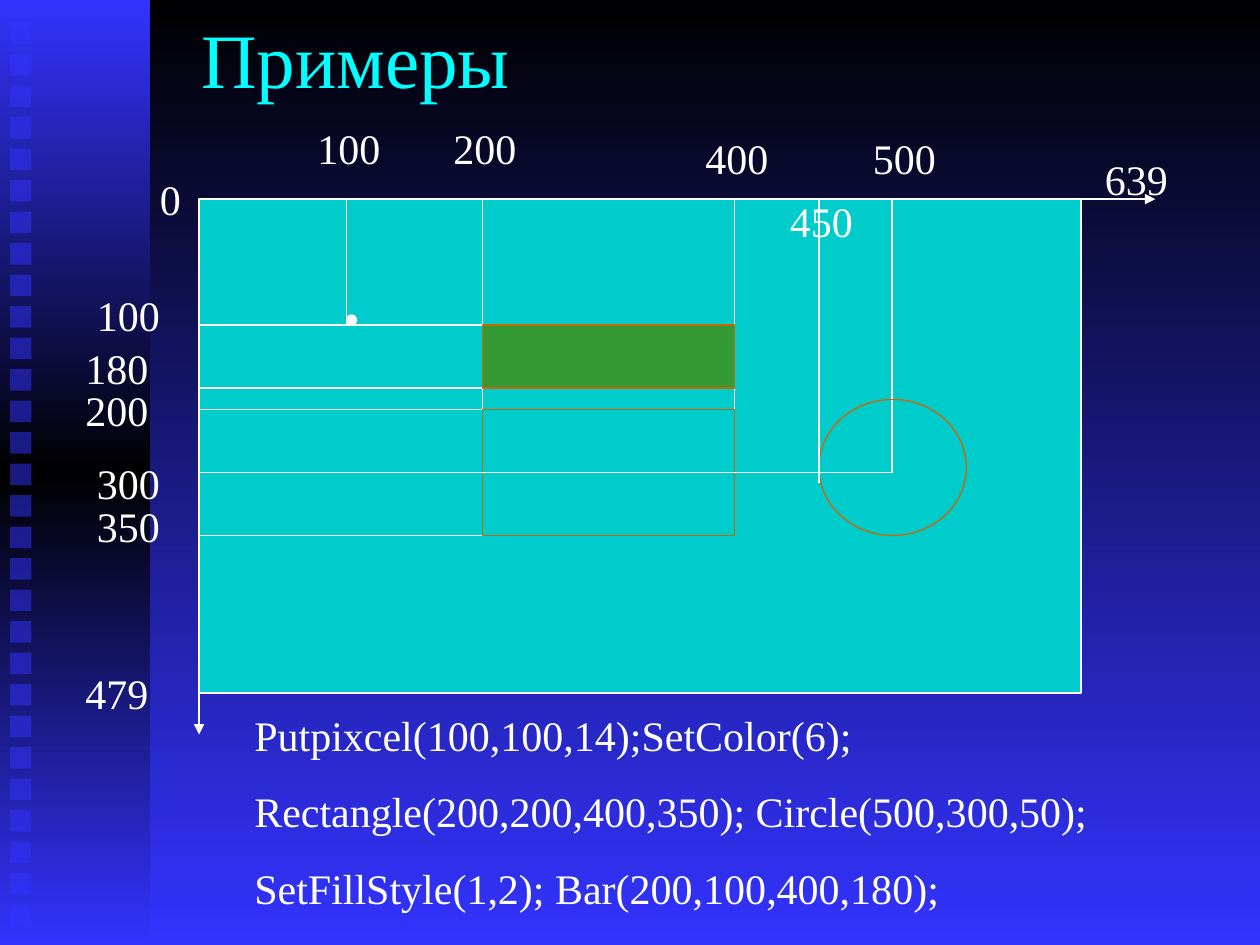
from copy import deepcopy

from lxml import etree
from pptx import Presentation
from pptx.dml.color import RGBColor
from pptx.enum.shapes import MSO_CONNECTOR, MSO_SHAPE
from pptx.enum.text import MSO_ANCHOR, MSO_AUTO_SIZE
from pptx.oxml.ns import qn
from pptx.util import Inches, Pt

RECT, OVAL = MSO_SHAPE.RECTANGLE, MSO_SHAPE.OVAL
STRAIGHT = MSO_CONNECTOR.STRAIGHT
TOP, MIDDLE = MSO_ANCHOR.TOP, MSO_ANCHOR.MIDDLE
GROW, FIXED = MSO_AUTO_SIZE.SHAPE_TO_FIT_TEXT, MSO_AUTO_SIZE.NONE

BLUE, BLACK, WHITE = "3333FF", "000000", "FFFFFF"
CYAN, SCREEN, ORANGE, GREEN = "00FFFF", "00CCCC", "CC6600", "339933"


def rgb(value):
    return RGBColor.from_string(value)


class Slide:
    font = "Times New Roman"
    line_width = Pt(0.75)

    def __init__(self, prs):
        self.s = prs.slides.add_slide(prs.slide_layouts[6])

    def gradient(self, fill, element, colors):
        """Spread the colours evenly from top to bottom."""
        fill.gradient()
        fill.gradient_angle = 270
        first = next(element.iter(qn("a:gs")))
        for _ in colors[2:]:
            first.addnext(deepcopy(first))
        for i, (stop, color) in enumerate(zip(fill.gradient_stops, colors)):
            stop.color.rgb = rgb(color)
            stop.position = i / (len(colors) - 1)

    def background(self, colors):
        self.gradient(self.s.background.fill, self.s._element, colors)

    def shape(self, kind, x, y, w, h, fill=None, line=None, alpha=None):
        sp = self.s.shapes.add_shape(kind, Inches(x), Inches(y), Inches(w), Inches(h))
        sp.shadow.inherit = False
        if isinstance(fill, list):
            self.gradient(sp.fill, sp._element, fill)
        elif fill:
            sp.fill.solid()
            sp.fill.fore_color.rgb = rgb(fill)
        else:
            sp.fill.background()
        if alpha:
            color = next(sp._element.spPr.iter(qn("a:srgbClr")))
            etree.SubElement(color, qn("a:alpha"), val=str(alpha * 1000))
        if line:
            sp.line.color.rgb = rgb(line)
            sp.line.width = self.line_width
        else:
            sp.line.fill.background()

    def line(self, x1, y1, x2, y2, arrow=False):
        sp = self.s.shapes.add_connector(
            STRAIGHT, Inches(x1), Inches(y1), Inches(x2), Inches(y2))
        sp.line.color.rgb = rgb(WHITE)
        sp.line.width = self.line_width
        if arrow:
            etree.SubElement(sp.line._get_or_add_ln(), qn("a:tailEnd"), type="triangle")
        etree.SubElement(sp._element.spPr, qn("a:effectLst"))

    def text(self, x, y, w, h, *lines, size=24, color=WHITE, anchor=TOP, fit=GROW):
        sp = self.s.shapes.add_textbox(Inches(x), Inches(y), Inches(w), Inches(h))
        tf = sp.text_frame
        frame_format = {"word_wrap": True, "auto_size": fit, "vertical_anchor": anchor}
        for name, value in frame_format.items():
            setattr(tf, name, value)
        for i, line in enumerate(lines):
            p = tf.add_paragraph() if i else tf.paragraphs[0]
            if i:
                p.space_before = Pt(15)
            r = p.add_run()
            r.text = line
            for name, value in {"name": self.font, "size": Pt(size)}.items():
                setattr(r.font, name, value)
            r.font.color.rgb = rgb(color)


def main():
    prs = Presentation()
    prs.slide_width, prs.slide_height = Inches(10), Inches(7.5)
    slide = Slide(prs)

    # Background, side band and its column of squares
    slide.background([BLACK, BLUE])
    slide.shape(RECT, 0, 0, 1.19, 7.5, [BLUE, BLACK, BLUE])
    for i in range(29):
        slide.shape(RECT, 0.08, 0.18 + 0.25 * i, 0.17, 0.17, BLUE, alpha=50)

    slide.text(1.5, 0, 8.5, 0.92, "Примеры", size=44, color=CYAN,
               anchor=MIDDLE, fit=FIXED)

    # Axes and screen area
    left, top = 1.58, 1.58
    slide.line(left, top, 9.17, top, arrow=True)
    slide.line(left, top, left, 5.83, arrow=True)
    slide.text(8.67, 1.17, 1, 0.5, "639")
    slide.shape(RECT, left, top, 7, 3.92, SCREEN, WHITE)

    # Program code
    slide.text(1.92, 5.58, 7.25, 1.72,
               "Putpixcel(100,100,14);SetColor(6);",
               "Rectangle(200,200,400,350); Circle(500,300,50);",
               "SetFillStyle(1,2); Bar(200,100,400,180);")

    # Coordinate labels
    labels = [
        ("0", 1.17, 1.33, 0.58), ("479", 0.58, 5.25, 0.92),
        ("100", 2.42, 0.92, 0.92), ("200", 3.5, 0.92, 1),
        ("400", 5.5, 1, 1.25), ("500", 6.83, 1, 1.17),
        ("100", 0.67, 2.25, 0.83), ("200", 0.58, 3, 0.83),
        ("300", 0.67, 3.58, 0.83), ("350", 0.67, 3.92, 0.75),
    ]
    for label, x, y, w in labels:
        slide.text(x, y, w, 0.5, label)

    # Point, rectangle, circle and bar with their guide lines
    x100, x200, x400, x450, x500 = 2.75, 3.83, 5.83, 6.5, 7.08
    y100, y180, y200, y300, y350 = 2.58, 3.08, 3.25, 3.75, 4.25

    def guides(x, y):
        slide.line(left, y, x, y)
        slide.line(x, y, x, top)

    slide.shape(OVAL, x100, 2.5, 0.08, 0.08, WHITE, WHITE)
    for x, y in [(x100, y100), (x200, y200), (x400, y350)]:
        guides(x, y)
    slide.shape(RECT, x200, y200, 2, 1, SCREEN, ORANGE)
    guides(x500, y300)
    slide.shape(OVAL, x450, 3.17, 1.17, 1.08, line=ORANGE)
    slide.line(x100, y100, x200, y100)
    slide.line(left, y180, x400, y180)
    slide.shape(RECT, x200, y100, 2, 0.5, GREEN, ORANGE)
    slide.text(0.58, 2.67, 0.83, 0.5, "180")
    slide.line(x450, 3.83, x450, top)
    slide.text(6.17, 1.5, 0.75, 0.5, "450")

    prs.save("out.pptx")


if __name__ == "__main__":
    main()
